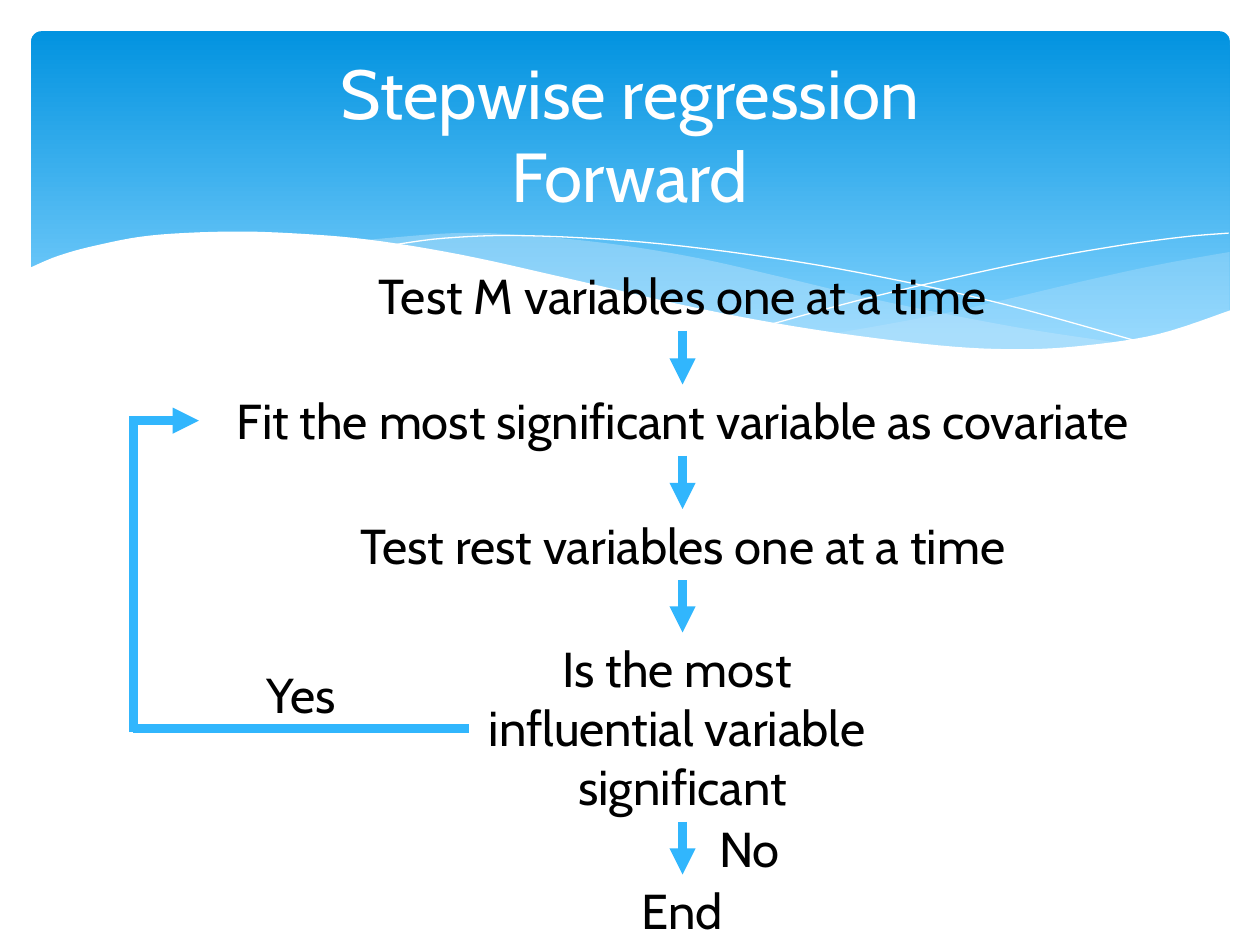
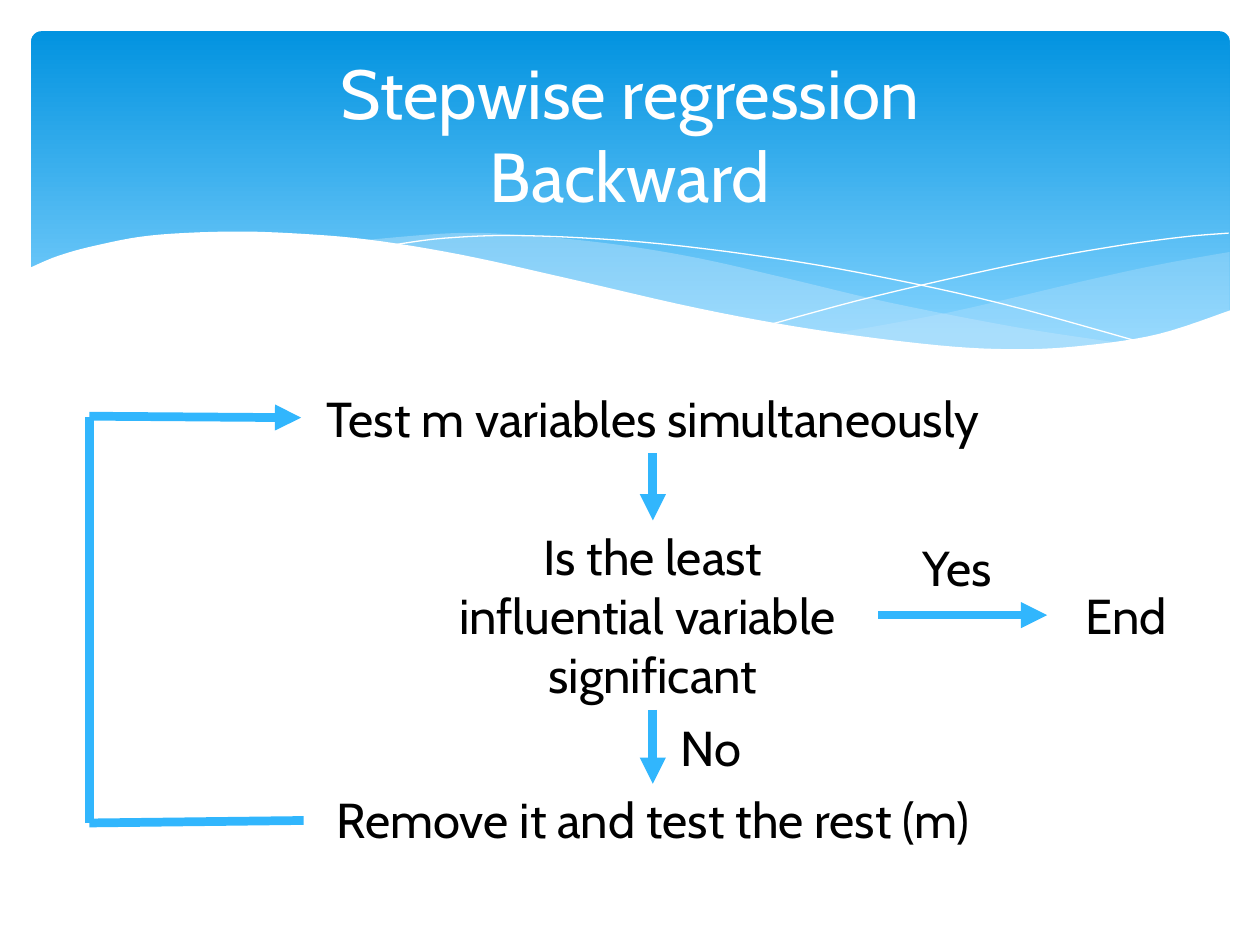
from lxml.etree import SubElement as Sub
from pptx import Presentation
from pptx.dml.color import RGBColor as RGB
from pptx.enum.shapes import MSO_CONNECTOR as Link, MSO_SHAPE as Form
from pptx.enum.text import MSO_ANCHOR as Anchor, PP_ALIGN as Align
from pptx.oxml.ns import qn
from pptx.util import Cm, Pt

WHITE = RGB(0xFF, 0xFF, 0xFF)
BLACK = RGB(0x00, 0x00, 0x00)
DEEP = RGB(0x02, 0x93, 0xE0)
LIGHT = RGB(0x83, 0xD3, 0xFE)
PALE = RGB(0xC6, 0xE7, 0xFC)
SKY = RGB(0x31, 0xB6, 0xFD)
FONT = "Cabin"
LABEL = 3.2

SLIDES = [
    {
        "title": ["Stepwise regression", " Forward "],
        "mid": 13.76,
        "steps": [
            (5.23, 13.13, ["Test M variables one at a time"]),
            (7.75, 19.48, ["Fit the most significant variable as covariate"]),
            (10.26, 14.17, ["Test rest variables one at a time"]),
            (12.75, 8.61, ["Is the most ", "influential variable ", "significant"]),
            (17.63, LABEL, ["End"]),
        ],
        "arrows": [(2.69, 8.48, 4.01, 8.48)],
        "lines": [(2.69, 14.76, 2.69, 8.38), (2.69, 14.68, 9.45, 14.68)],
        "labels": [(4.47, 13.28, "Yes"), (13.51, 16.38, "No")],
    },
    {
        "title": ["Stepwise regression", " Backward "],
        "mid": 13.16,
        "steps": [
            (7.7, 14.17, ["Test m variables simultaneously"]),
            (10.49, 9.12, ["Is the least", "influential variable ", "significant"]),
            (15.8, 14.05, ["Remove it and test the rest (m)"]),
        ],
        "arrows": [(17.7, 12.4, 21.11, 12.4), (1.8, 8.39, 6.07, 8.42)],
        "lines": [(1.8, 16.59, 1.8, 8.41), (1.8, 16.59, 6.12, 16.54)],
        "labels": [(21.11, 11.68, "End"), (17.7, 10.72, "Yes"), (12.73, 14.33, "No")],
    },
]

RIGHT = [
    [(24.79, 5.08), (23.39, 5.33), (21.87, 5.66), (19.13, 6.3), (16.79, 6.73)],
    [(16.79, 6.73), (18.59, 6.96), (20.4, 7.06), (22.15, 6.96), (23.57, 6.68),
     (24.79, 6.27)],
]
MIDDLE = [
    [(22.68, 6.93), (20.5, 6.6), (17.93, 6.1), (15.98, 5.64), (14.1, 5.21),
     (12.42, 4.93), (10.67, 4.75), (9.17, 4.7), (7.26, 4.85)],
    [(7.26, 4.85), (9.19, 5.16), (11.4, 5.64), (14.38, 6.3), (16.51, 6.71),
     (18.34, 6.96), (20.22, 7.06), (21.54, 7.04), (22.68, 6.93)],
]
FALL = [[(7.85, 4.95), (8.97, 4.8), (10.57, 4.75), (12.95, 4.88), (15.44, 5.18),
         (17.65, 5.56), (20.19, 6.12), (23.04, 6.91)]]
RISE = [[(15.57, 6.53), (17.65, 5.97), (20.47, 5.33), (22.38, 4.98),
         (23.83, 4.78), (24.77, 4.7)]]
FRONT = [
    [(24.82, 6.25), (23.37, 6.73), (21.92, 6.96), (20.55, 7.04), (18.9, 6.96),
     (16.46, 6.65), (14.1, 6.22), (11.35, 5.59), (9.27, 5.13), (7.42, 4.83),
     (5.84, 4.7), (4.5, 4.67), (3.02, 4.75), (1.93, 4.95), (1.17, 5.16),
     (0.58, 5.41)],
    [(0.58, 8.36), (24.82, 8.36)],
]
WAVES = [(RIGHT, PALE, 29), (MIDDLE, PALE, 40), (FALL, None, 0),
         (RISE, None, 0), (FRONT, WHITE, 100)]


def bend(knots, cuts=6):
    ends = [knots[0], *knots, knots[-1]]
    dots = [knots[0]]
    for a, b, c, d in zip(ends, ends[1:], ends[2:], ends[3:]):
        for n in range(1, cuts + 1):
            t = n / cuts
            dots.append(tuple(
                q + t * (r - p) / 2
                + t * t * (2 * p - 5 * q + 4 * r - s) / 2
                + t ** 3 * (3 * q - p - 3 * r + s) / 2
                for p, q, r, s in zip(a, b, c, d)))
    return dots


def wave(slide, parts, tint, alpha):
    dots = [(Cm(x), Cm(y)) for part in parts for x, y in bend(part)]
    pen = slide.shapes.build_freeform(*dots[0])
    pen.add_line_segments(dots[1:], close=tint is not None)
    shape = pen.convert_to_shape()
    shape.shadow.inherit = False
    if tint is None:
        shape.fill.background()
        shape.line.color.rgb = WHITE
        shape.line.width = Pt(0)
        return
    shape.line.fill.background()
    shape.fill.solid()
    shape.fill.fore_color.rgb = tint
    if alpha < 100:
        color = next(shape._element.iter(qn("a:srgbClr")))
        Sub(color, qn("a:alpha"), val=str(alpha * 1000))


def band(slide):
    shape = slide.shapes.add_shape(
        Form.ROUNDED_RECTANGLE, Cm(0.63), Cm(0.63), Cm(24.16), Cm(6.86))
    shape.adjustments[0] = 0.03
    shape.shadow.inherit = False
    shape.line.fill.background()
    shape.fill.gradient()
    shape.fill.gradient_angle = 270
    for stop, tint, spot in zip(shape.fill.gradient_stops, (DEEP, LIGHT), (0, 0.9)):
        stop.color.rgb = tint
        stop.position = spot
    for item in WAVES:
        wave(slide, *item)


def frame(slide, left, top, width, height):
    box = slide.shapes.add_textbox(Cm(left), Cm(top), Cm(width), Cm(height))
    box.text_frame.word_wrap = True
    return box.text_frame


def write(para, text, size, tint):
    para.alignment = Align.CENTER
    run = para.add_run()
    run.text = text
    run.font.name = FONT
    run.font.size = Pt(size)
    run.font.color.rgb = tint


def head(slide, rows):
    body = frame(slide, 1.27, 0.94, 22.86, 3.48)
    body.vertical_anchor = Anchor.MIDDLE
    para = body.paragraphs[0]
    write(para, rows[0], 39.6, WHITE)
    para.add_line_break()
    write(para, rows[1], 39.6, WHITE)


def tall(rows):
    return 0.25 + 1.19 * len(rows)


def note(slide, left, top, width, rows):
    body = frame(slide, left, top, width, tall(rows))
    for n, row in enumerate(rows):
        para = body.add_paragraph() if n else body.paragraphs[0]
        write(para, row, 28, BLACK)


def link(slide, ends, arrow=False):
    line = slide.shapes.add_connector(Link.STRAIGHT, *map(Cm, ends))
    line.line.color.rgb = SKY
    line.line.width = Pt(5)
    if arrow:
        Sub(line.line._get_or_add_ln(), qn("a:tailEnd"), type="triangle")
    Sub(line._element.spPr, qn("a:effectLst"))


def flow(slide, plan):
    mid, steps = plan["mid"], plan["steps"]
    for top, width, rows in steps:
        note(slide, mid - width / 2, top, width, rows)
    for (top, _, rows), (below, _, _) in zip(steps, steps[1:]):
        link(slide, (mid, top + tall(rows), mid, below), True)
    for ends in plan["arrows"]:
        link(slide, ends, True)
    for ends in plan["lines"]:
        link(slide, ends)
    for left, top, text in plan["labels"]:
        note(slide, left, top, LABEL, [text])


def main():
    deck = Presentation()
    deck.slide_width, deck.slide_height = Cm(25.4), Cm(19.05)
    for plan in SLIDES:
        slide = deck.slides.add_slide(deck.slide_layouts[6])
        band(slide)
        head(slide, plan["title"])
        flow(slide, plan)
    deck.save("out.pptx")


if __name__ == "__main__":
    main()
